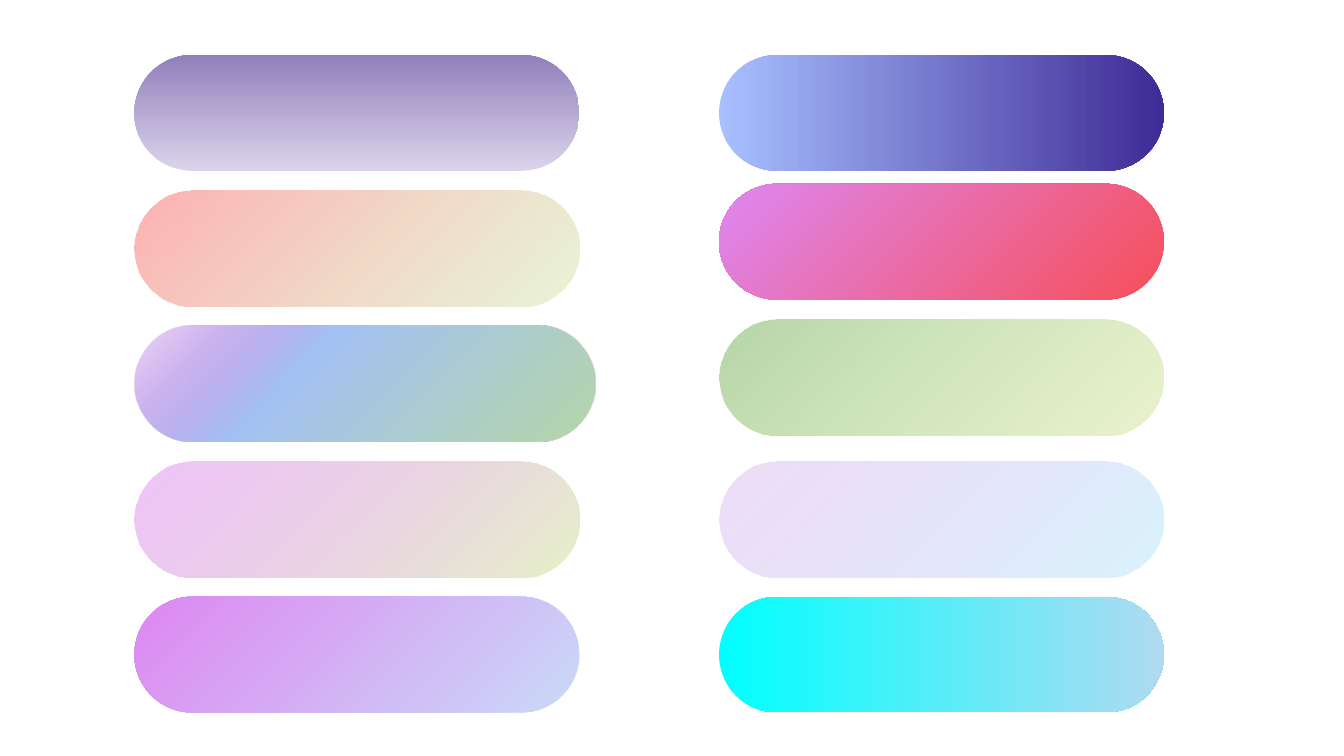
from dataclasses import dataclass

from lxml import etree
from pptx import Presentation
from pptx.enum.shapes import MSO_SHAPE
from pptx.oxml.ns import qn
from pptx.util import Pt

PILL = MSO_SHAPE.ROUNDED_RECTANGLE


@dataclass(frozen=True)
class Theme:
    lilac: str = "DBD4EB"
    dusk: str = "9180BB"
    sky: str = "A8C0FF"
    indigo: str = "3F2B96"
    lime: str = "D8EDBA"
    coral: str = "FE9696"
    sage: str = "B6D7A8"
    blue: str = "A4C2F4"
    violet: str = "9F39D5"
    cream: str = "E0EDBA"
    orchid: str = "DE87F1"
    ice: str = "C9DAF8"
    red: str = "F64F59"
    azure: str = "69D4F4"
    cyan: str = "00FFFF"
    mist: str = "B0DAF1"


T = Theme()
WIDTH, WIDE, HEIGHT = 238.3, 247, 62
TOP, PITCH = 29.5, 72.55
RIGHTWARD, UPWARD, TO_TOP_LEFT = 0, 90, 135

LEFT_PILLS = [
    (0, WIDTH, UPWARD, [(0, T.lilac, 100), (100, T.dusk, 100)]),
    (PITCH, WIDTH, TO_TOP_LEFT, [(0, T.lime, 58), (100, T.coral, 74)]),
    (2 * PITCH, WIDE, TO_TOP_LEFT,
     [(0, T.sage, 100), (64, T.blue, 100), (100, T.violet, 17)]),
    (3 * PITCH, WIDTH, TO_TOP_LEFT, [(0, T.cream, 79), (100, T.orchid, 48)]),
    (4 * PITCH, WIDTH, TO_TOP_LEFT, [(0, T.ice, 100), (100, T.orchid, 100)]),
]
RIGHT_PILLS = [
    (0, WIDTH, RIGHTWARD, [(0, T.sky, 100), (100, T.indigo, 100)]),
    (69, WIDTH, TO_TOP_LEFT, [(0, T.red, 100), (100, T.orchid, 100)]),
    (141.7, WIDTH, TO_TOP_LEFT, [(0, T.cream, 71), (100, T.sage, 100)]),
    (3 * PITCH, WIDTH, TO_TOP_LEFT, [(0, T.azure, 26), (100, T.violet, 17)]),
    (4 * PITCH, WIDTH, RIGHTWARD, [(0, T.cyan, 100), (100, T.mist, 100)]),
]


def set_gradient(sp, angle, stops):
    sp.fill.gradient()
    sp.fill.gradient_angle = angle
    gs_list = sp._element.spPr.find(qn("a:gradFill")).find(qn("a:gsLst"))
    for gs in list(gs_list):
        gs_list.remove(gs)
    for position, color, opacity in stops:
        gs = etree.SubElement(gs_list, qn("a:gs"), pos=str(position * 1000))
        clr = etree.SubElement(gs, qn("a:srgbClr"), val=color)
        if opacity < 100:
            etree.SubElement(clr, qn("a:alpha"), val=str(opacity * 1000))


def add_pill(s, x, y, w, h, angle, stops):
    sp = s.shapes.add_shape(PILL, Pt(x), Pt(y), Pt(w), Pt(h))
    sp.adjustments[0] = 0.5
    sp.shadow.inherit = False
    sp.line.fill.background()
    set_gradient(sp, angle, stops)


def add_pill_column(s, x, y, pills):
    for offset, width, angle, stops in pills:
        add_pill(s, x, y + offset, width, HEIGHT, angle, stops)


def main():
    prs = Presentation()
    prs.slide_width, prs.slide_height = Pt(720), Pt(405)
    s = prs.slides.add_slide(prs.slide_layouts[6])
    add_pill_column(s, 72, TOP, LEFT_PILLS)
    add_pill_column(s, 385.2, TOP, RIGHT_PILLS)
    prs.save("out.pptx")


if __name__ == "__main__":
    main()
